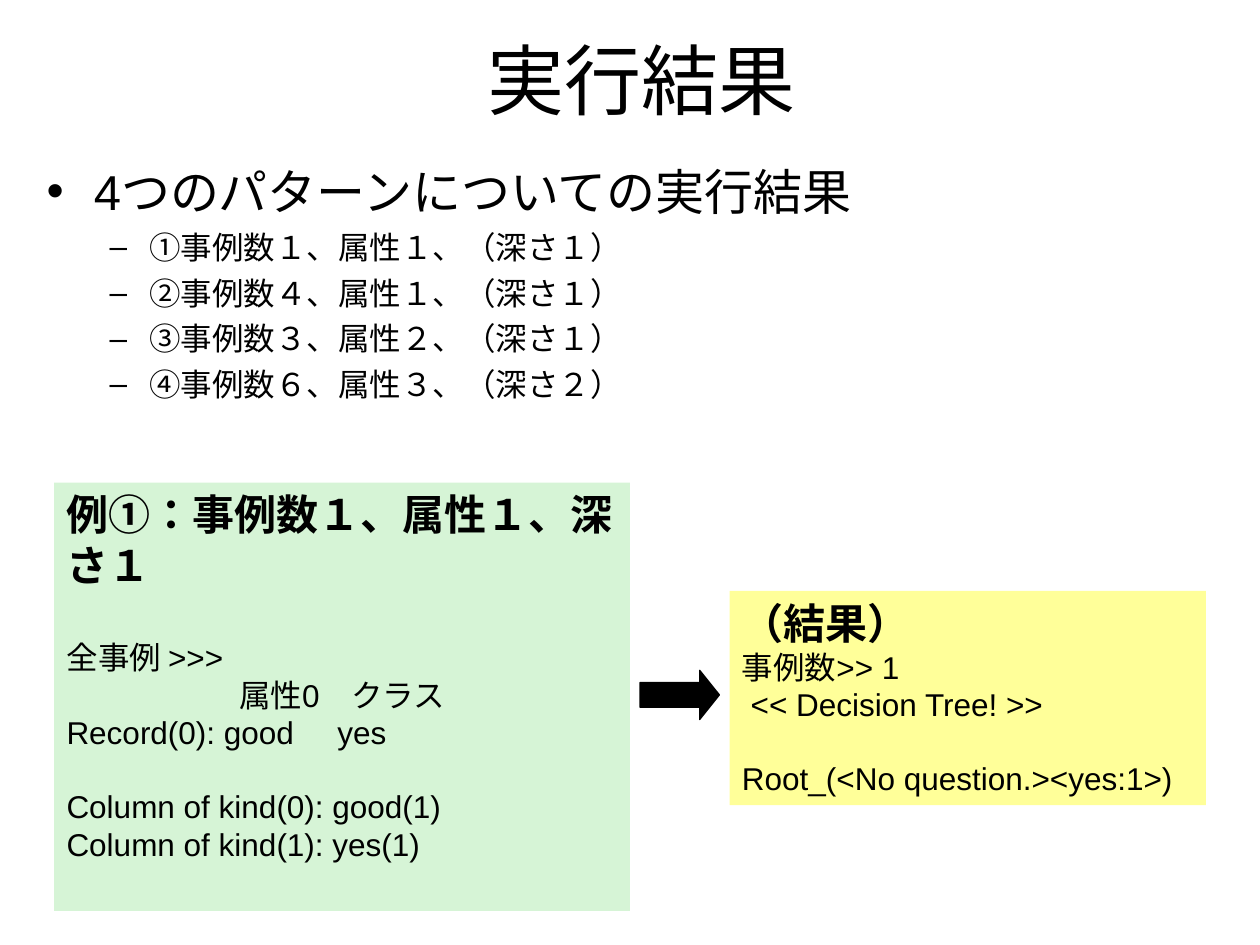
from lxml.etree import SubElement
from pptx import Presentation
from pptx.dml.color import RGBColor
from pptx.enum.lang import MSO_LANGUAGE_ID as LANG
from pptx.enum.shapes import MSO_SHAPE as SHAPE
from pptx.enum.text import MSO_ANCHOR as ANCHOR, MSO_AUTO_SIZE as AUTO, PP_ALIGN as ALIGN
from pptx.oxml.ns import qn
from pptx.util import Inches, Pt

COLORS = {"text": "000000", "example": "33CC33", "result": "FFFF00", "arrow": "000000"}
FONT = "Arial"

PATTERNS = [
    "①事例数１、属性１、（深さ１）",
    "②事例数４、属性１、（深さ１）",
    "③事例数３、属性２、（深さ１）",
    "④事例数６、属性３、（深さ２）",
]
EXAMPLE = [
    ("例①：事例数１、属性１、深さ１", {"size": 24, "bold": True}),
    ("全事例 >>>", {"before": 27.6}),
    ("属性0　クラス", {"indent": 1.37}),
    ("Record(0): good\tyes", {"tab": 2.15}),
    ("Column of kind(0): good(1)", {"before": 20.7}),
    ("Column of kind(1): yes(1)", {}),
]
RESULT = [
    ("（結果）", {"size": 24, "bold": True}),
    ("事例数>> 1", {}),
    (" << Decision Tree! >>", {}),
    ("Root_(<No question.><yes:1>)", {"before": 20.7}),
]


def rgb(name):
    return RGBColor.from_string(COLORS[name])


def add_text(tf, text, first=False, size=18, bold=False, align=ALIGN.LEFT,
             level=0, before=0, indent=None, tab=None):
    p = tf.paragraphs[0] if first else tf.add_paragraph()
    p.level, p.alignment, p.space_before = level, align, Pt(before)
    pPr = p._p.get_or_add_pPr()
    if indent is not None:
        pPr.set("marL", str(Inches(indent)))
    if tab is not None:
        tabs = SubElement(pPr, qn("a:tabLst"))
        SubElement(tabs, qn("a:tab"), pos=str(Inches(tab)), algn="l")
    r = p.add_run()
    r.text = text
    r.font.name, r.font.size, r.font.bold = FONT, Pt(size), bold
    r.font.color.rgb = rgb("text")
    r.font.language_id = LANG.JAPANESE


def place(sp, left, top, width, height):
    sp.left, sp.top = Inches(left), Inches(top)
    sp.width, sp.height = Inches(width), Inches(height)
    sp.text_frame.auto_size = AUTO.NONE
    return sp.text_frame


def add_shape(s, kind, color, left, top, width, height):
    sp = s.shapes.add_shape(kind, Inches(left), Inches(top), Inches(width), Inches(height))
    sp.shadow.inherit = False
    sp.fill.solid()
    sp.fill.fore_color.rgb = rgb(color)
    return sp


def add_panel(s, color, opacity, box, lines):
    sp = add_shape(s, SHAPE.RECTANGLE, color, *box)
    sp.line.fill.background()
    clr = sp.fill._xPr.find(qn("a:solidFill")).find(qn("a:srgbClr"))
    SubElement(clr, qn("a:alpha"), val=str(opacity * 1000))
    tf = sp.text_frame
    tf.word_wrap, tf.vertical_anchor = True, ANCHOR.TOP
    for i, (text, fmt) in enumerate(lines):
        add_text(tf, text, first=i == 0, **fmt)


def add_arrow(s, *box):
    sp = add_shape(s, SHAPE.RIGHT_ARROW, "arrow", *box)
    sp.adjustments[0], sp.adjustments[1] = 0.5, 0.4
    sp.line.color.rgb, sp.line.width = rgb("arrow"), Pt(0.75)


def main():
    prs = Presentation()
    prs.slide_width, prs.slide_height = Inches(10), Inches(7.5)
    s = prs.slides.add_slide(prs.slide_layouts[1])

    title = place(s.shapes.title, 0.59, 0, 9, 1.25)
    add_text(title, "実行結果", first=True, size=44, align=ALIGN.CENTER)

    body = place(s.placeholders[1], 0.27, 1.23, 6.85, 2.36)
    add_text(body, "4つのパターンについての実行結果", first=True, size=28, before=7)
    for pattern in PATTERNS:
        add_text(body, pattern, level=1, before=4.5)

    add_panel(s, "example", 20, (0.43, 3.83, 4.57, 3.4), EXAMPLE)
    add_panel(s, "result", 40, (5.79, 4.69, 3.78, 1.7), RESULT)
    add_arrow(s, 5.08, 5.32, 0.63, 0.39)
    prs.save("out.pptx")


if __name__ == "__main__":
    main()
